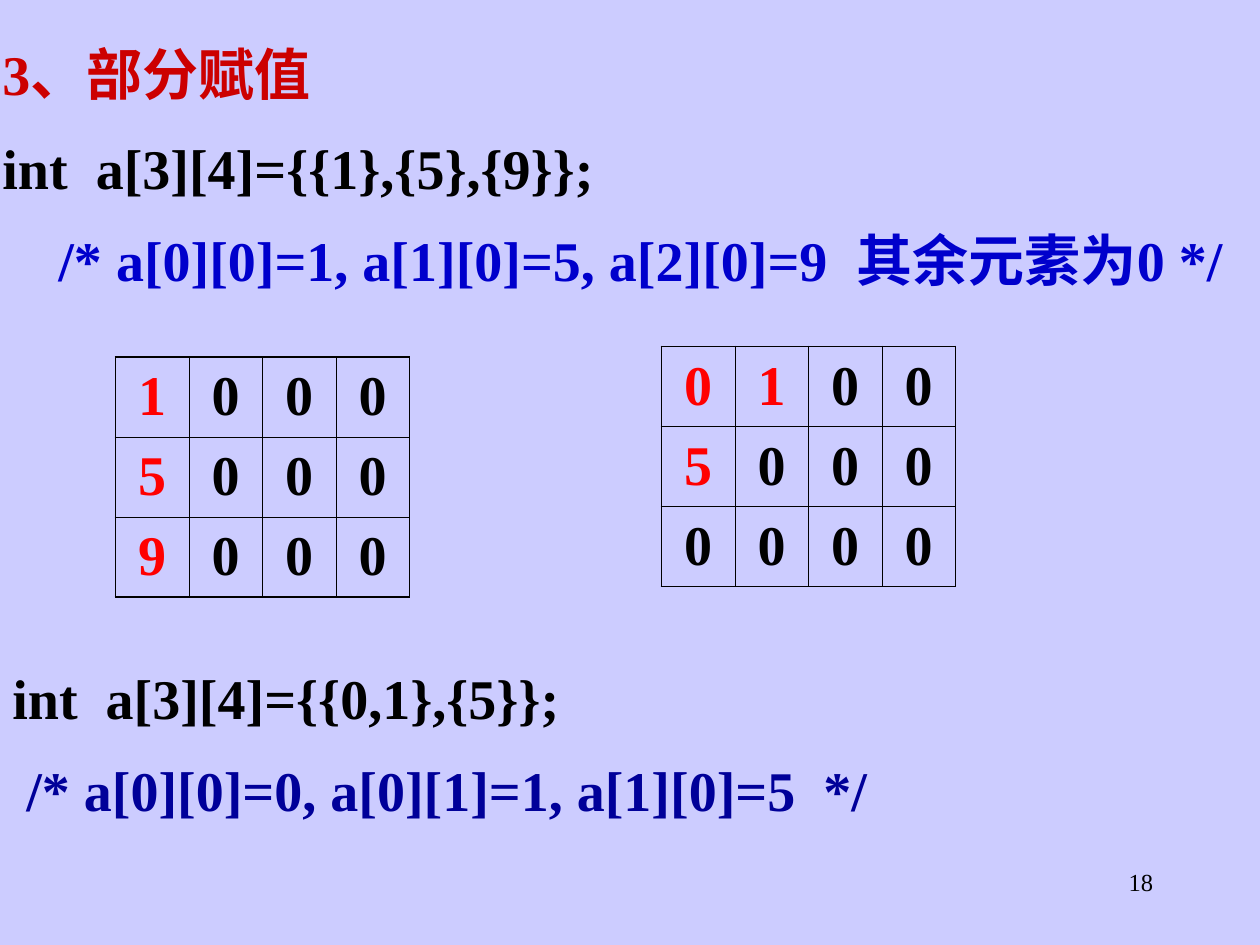
from lxml import etree
from pptx import Presentation
from pptx.dml.color import RGBColor
from pptx.enum.text import MSO_ANCHOR, PP_ALIGN
from pptx.oxml.ns import qn
from pptx.util import Pt

LEFT, CENTER, RIGHT = PP_ALIGN.LEFT, PP_ALIGN.CENTER, PP_ALIGN.RIGHT
MIDDLE = MSO_ANCHOR.MIDDLE
FONT = "Times New Roman"
COLORS = {
    "background": "CCCCFF",
    "ink": "000000",
    "heading": "CC0000",
    "comment": "0000CC",
    "dark_comment": "000099",
    "assigned": "FF0000",
}
OUTER, INNER = 1.08, 0.45


def style_runs(paragraph, color, size=32, bold=True):
    for run in paragraph.runs:
        run.font.name = FONT
        run.font.size = Pt(size)
        run.font.bold = bold
        run.font.color.rgb = RGBColor.from_string(COLORS[color])


def add_lines(slide, box, lines, inset=(7.2, 3.6), size=32, bold=True,
              align=LEFT, line_spacing=1.1):
    frame = slide.shapes.add_textbox(*map(Pt, box)).text_frame
    frame.word_wrap = True
    frame.margin_left = frame.margin_right = Pt(inset[0])
    frame.margin_top = frame.margin_bottom = Pt(inset[1])
    frame.text = "\n".join(text for text, _ in lines)
    for index, (paragraph, (_, color)) in enumerate(zip(frame.paragraphs, lines)):
        paragraph.alignment = align
        paragraph.line_spacing = line_spacing
        if index:
            paragraph.space_before = Pt(10)
        style_runs(paragraph, color, size, bold)


def add_border(cell, side, width):
    line = etree.SubElement(cell._tc.get_or_add_tcPr(), qn(f"a:ln{side}"), w=str(Pt(width)))
    fill = etree.SubElement(line, qn("a:solidFill"))
    etree.SubElement(fill, qn("a:srgbClr"), val=COLORS["ink"])


def add_matrix(slide, box, values, assigned):
    last_row, last_column = len(values) - 1, len(values[0]) - 1
    matrix = slide.shapes.add_table(last_row + 1, last_column + 1, *map(Pt, box)).table
    matrix.first_row = matrix.horz_banding = False
    for r, row in enumerate(values):
        for c, value in enumerate(row):
            cell = matrix.cell(r, c)
            cell.text = str(value)
            cell.vertical_anchor = MIDDLE
            element = cell.text_frame.paragraphs[0]
            element.alignment = CENTER
            style_runs(element, "assigned" if (r, c) in assigned else "ink")
            edges = {"L": c == 0, "R": c == last_column, "T": r == 0, "B": r == last_row}
            for side, is_outer in edges.items():
                add_border(cell, side, OUTER if is_outer else INNER)
            cell.fill.background()


def add_array_slide(deck):
    slide = deck.slides.add_slide(deck.slide_layouts[6])
    slide.background.fill.solid()
    slide.background.fill.fore_color.rgb = RGBColor.from_string(COLORS["background"])

    add_lines(slide, (516, 492, 150, 36), [("18", "ink")],
              size=14, bold=False, align=RIGHT, line_spacing=1.0)
    tight = (1.44, 0.72)
    add_lines(slide, (0, 18, 534, 44), [("3、部分赋值", "heading")], tight)
    add_lines(slide, (0, 72, 720, 96.5), [
        ("int  a[3][4]={{1},{5},{9}};", "ink"),
        ("    /* a[0][0]=1, a[1][0]=5, a[2][0]=9  其余元素为0 */", "comment"),
    ], tight)
    add_lines(slide, (0, 372, 720, 101.5), [
        ("int  a[3][4]={{0,1},{5}};", "ink"),
        (" /* a[0][0]=0, a[0][1]=1, a[1][0]=5  */", "dark_comment"),
    ])
    add_matrix(slide, (66, 204, 168, 137.25),
               [[1, 0, 0, 0], [5, 0, 0, 0], [9, 0, 0, 0]],
               {(0, 0), (1, 0), (2, 0)})
    add_matrix(slide, (378, 198, 168, 137.25),
               [[0, 1, 0, 0], [5, 0, 0, 0], [0, 0, 0, 0]],
               {(0, 0), (0, 1), (1, 0)})


def main():
    deck = Presentation()
    deck.slide_width, deck.slide_height = Pt(720), Pt(540)
    add_array_slide(deck)
    deck.save("out.pptx")


if __name__ == "__main__":
    main()
